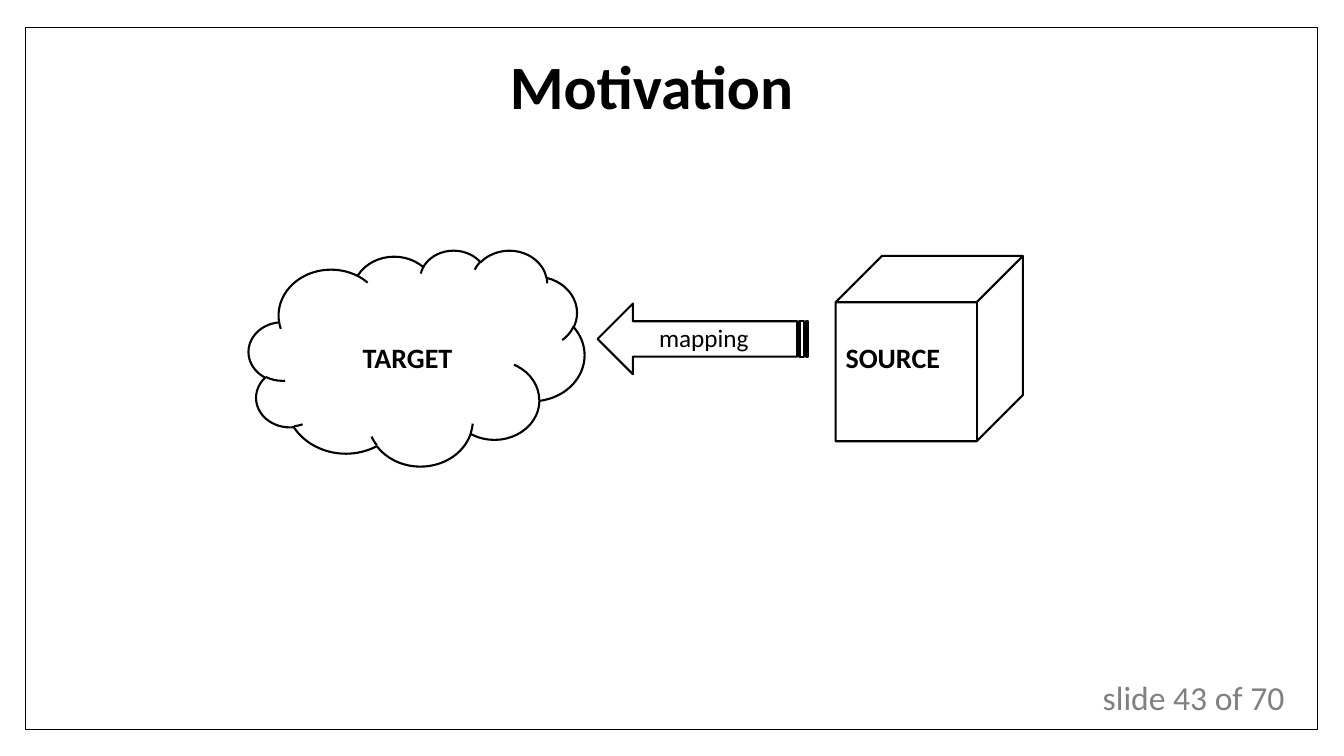
from dataclasses import dataclass

from pptx import Presentation
from pptx import util as u
from pptx.dml.color import RGBColor
from pptx.enum import shapes, text


@dataclass(frozen=True)
class Theme:
    font: str = "Calibri"
    ink: str = "000000"
    paper: str = "FFFFFF"
    muted: str = "808080"
    title_size: float = 44
    footer_size: float = 24
    node_size: float = 20
    arrow_size: float = 18
    frame_line: float = 1
    figure_line: float = 1.5


@dataclass(frozen=True)
class Box:
    """Left, top, width and height in centimetres."""
    left: float
    top: float
    width: float
    height: float

    def inside(self, left, top, width, height):
        return Box(self.left + left, self.top + top, width, height)

    def lengths(self):
        return [u.Cm(side) for side in (self.left, self.top, self.width, self.height)]


THEME = Theme()
SHAPE = shapes.MSO_SHAPE
PAGE = Box(0, 0, 33.87, 19.05)


def add_outline(page, kind, box, line_width, fill=None, rotation=0):
    outline = page.shapes.add_shape(kind, *box.lengths())
    outline.shadow.inherit = False
    outline.rotation = rotation
    if fill:
        outline.fill.solid()
        outline.fill.fore_color.rgb = RGBColor.from_string(fill)
    else:
        outline.fill.background()
    outline.line.color.rgb = RGBColor.from_string(THEME.ink)
    outline.line.width = u.Pt(line_width)


def add_label(page, words, box, size, color=THEME.ink, bold=False,
              anchor=text.MSO_ANCHOR.TOP, spacing=1.0):
    frame = page.shapes.add_textbox(*box.lengths()).text_frame
    frame.word_wrap = True
    frame.vertical_anchor = anchor
    para = frame.paragraphs[0]
    para.line_spacing = spacing
    span = para.add_run()
    span.text = words
    formats = {"name": THEME.font, "size": u.Pt(size), "bold": bold}
    for name, value in formats.items():
        setattr(span.font, name, value)
    span.font.color.rgb = RGBColor.from_string(color)


def add_frame(page, box):
    """Border around the page with the slide number in its lower right corner."""
    add_outline(page, SHAPE.RECTANGLE, box, THEME.frame_line, fill=THEME.paper)
    number = box.inside(box.width - 5.66, box.height - 1.45, 5.61, 1.27)
    add_label(page, "slide 43 of 70", number, THEME.footer_size, THEME.muted)


def add_title(page, box):
    add_label(page, "Motivation", box, THEME.title_size, bold=True,
              anchor=text.MSO_ANCHOR.MIDDLE, spacing=0.9)


def add_mapping_figure(page, box):
    """Source cube mapped by an arrow onto the target cloud."""
    parts = [
        # kind, outline, rotation, words, label, size, bold
        (SHAPE.CLOUD, (0, 0, 8.46, 5.44), 0,
         "TARGET", (2.62, 2.16, 3.68, 1.12), THEME.node_size, True),
        (SHAPE.CUBE, (14.79, 0.15, 4.72, 4.67), 0,
         "SOURCE", (14.79, 2.16, 3.81, 1.12), THEME.node_size, True),
        (SHAPE.STRIPED_RIGHT_ARROW, (8.79, 1.35, 5.31, 1.78), 180,
         "mapping", (10.09, 1.7, 3.45, 1.02), THEME.arrow_size, False),
    ]
    for kind, outline, rotation, words, label, size, bold in parts:
        add_outline(page, kind, box.inside(*outline), THEME.figure_line, rotation=rotation)
        add_label(page, words, box.inside(*label), size, bold=bold)


def main():
    deck = Presentation()
    deck.slide_width, deck.slide_height = u.Cm(PAGE.width), u.Cm(PAGE.height)
    page = deck.slides.add_slide(deck.slide_layouts[6])
    add_frame(page, PAGE.inside(0.64, 0.69, 32.56, 17.7))
    add_title(page, PAGE.inside(12.6, 1.24, 9.75, 2.03))
    add_mapping_figure(page, PAGE.inside(6.27, 6.3, 19.51, 5.44))
    deck.save("out.pptx")


if __name__ == "__main__":
    main()
